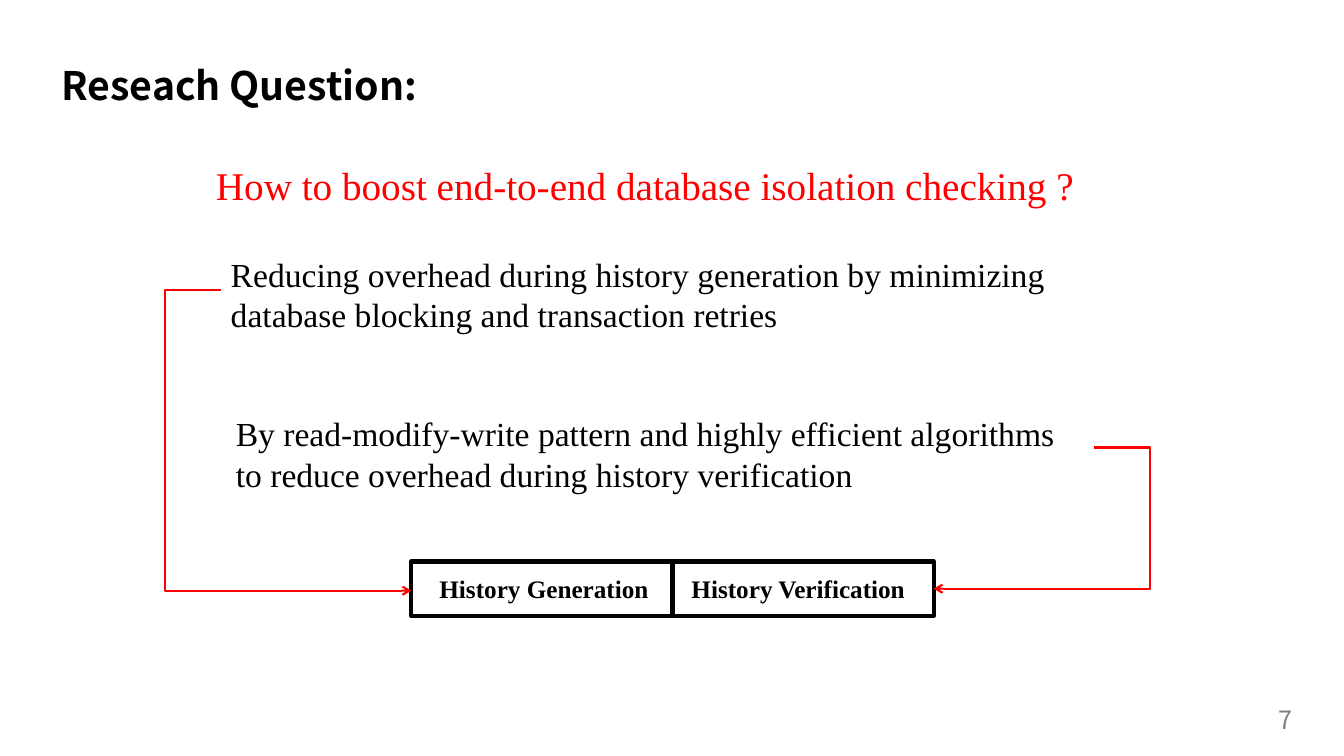
from lxml.etree import SubElement
from pptx import Presentation
from pptx.dml.color import RGBColor
from pptx.enum.shapes import MSO_CONNECTOR, MSO_SHAPE
from pptx.enum.text import MSO_ANCHOR, MSO_AUTO_SIZE, PP_ALIGN
from pptx.oxml.ns import qn
from pptx.util import Inches, Pt

BLACK = RGBColor(0x00, 0x00, 0x00)
RED = RGBColor(0xFF, 0x00, 0x00)
GRAY = RGBColor(0x80, 0x80, 0x80)
SANS = "Noto Sans CJK SC"
SERIF = "Times New Roman"

deck = Presentation()
deck.slide_width = Inches(13.33)
deck.slide_height = Inches(7.5)
slide = deck.slides.add_slide(deck.slide_layouts[5])
shapes = slide.shapes


def write(shape, text, size, face, color, bold=False, align=PP_ALIGN.LEFT):
    frame = shape.text_frame
    frame.word_wrap = True
    frame.auto_size = MSO_AUTO_SIZE.NONE
    para = frame.paragraphs[0]
    para.alignment = align
    run = para.add_run()
    run.text = text
    run.font.size = Pt(size)
    run.font.name = face
    run.font.bold = bold
    run.font.color.rgb = color


# Title
title = shapes.title
title.left, title.top = Inches(0.51), Inches(0.59)
title.width, title.height = Inches(5.14), Inches(0.57)
write(title, "Reseach Question:", 28, SANS, BLACK, bold=True)
title.text_frame.vertical_anchor = MSO_ANCHOR.MIDDLE
title.text_frame.paragraphs[0].line_spacing = 0.9

# Stage boxes
for left in (4.08, 6.67):
    stage = shapes.add_shape(MSO_SHAPE.RECTANGLE, Inches(left), Inches(5.57),
                             Inches(2.59), Inches(0.54))
    stage.shadow.inherit = False
    stage.fill.background()
    stage.line.color.rgb = BLACK
    stage.line.width = Pt(3)

# Question, answers, stage names and page number
texts = [
    (0.51, 1.55, 11.87, 0.73, "How to boost end-to-end database isolation checking ? ",
     28, SERIF, RED, False, PP_ALIGN.CENTER),
    (2.19, 2.47, 8.85, 0.91, "Reducing overhead during history generation by minimizing "
     "database blocking and transaction retries", 24, SERIF, BLACK, False, PP_ALIGN.LEFT),
    (2.24, 4.05, 8.61, 0.91, "By read-modify-write pattern and highly efficient algorithms "
     "to reduce overhead during history verification", 24, SERIF, BLACK, False, PP_ALIGN.LEFT),
    (4.26, 5.64, 2.79, 0.4, "History Generation", 18, SERIF, BLACK, True, PP_ALIGN.LEFT),
    (6.76, 5.64, 2.75, 0.4, "History Verification", 18, SERIF, BLACK, True, PP_ALIGN.LEFT),
    (9.92, 6.94, 3, 0.4, "7", 18, SANS, GRAY, False, PP_ALIGN.RIGHT),
]
for left, top, width, height, *style in texts:
    box = shapes.add_textbox(Inches(left), Inches(top), Inches(width), Inches(height))
    write(box, *style)

# Arrows from each answer to its stage, bending outside at x = bend
arrows = [(2.19, 2.88, 4.08, 5.86, 1.64), (10.85, 4.44, 9.26, 5.84, 11.41)]
for x1, y1, x2, y2, bend in arrows:
    arrow = shapes.add_connector(MSO_CONNECTOR.ELBOW, Inches(x1), Inches(y1),
                                 Inches(x2), Inches(y2))
    arrow.line.color.rgb = RED
    arrow.line.width = Pt(1.5)
    props = arrow._element.spPr
    ratio = round((bend - x1) / (x2 - x1) * 100000)
    guides = props.find(qn("a:prstGeom")).find(qn("a:avLst"))
    SubElement(guides, qn("a:gd"), name="adj1", fmla=f"val {ratio}")
    SubElement(props.find(qn("a:ln")), qn("a:tailEnd"), type="arrow")
    SubElement(props, qn("a:effectLst"))

deck.save("out.pptx")
